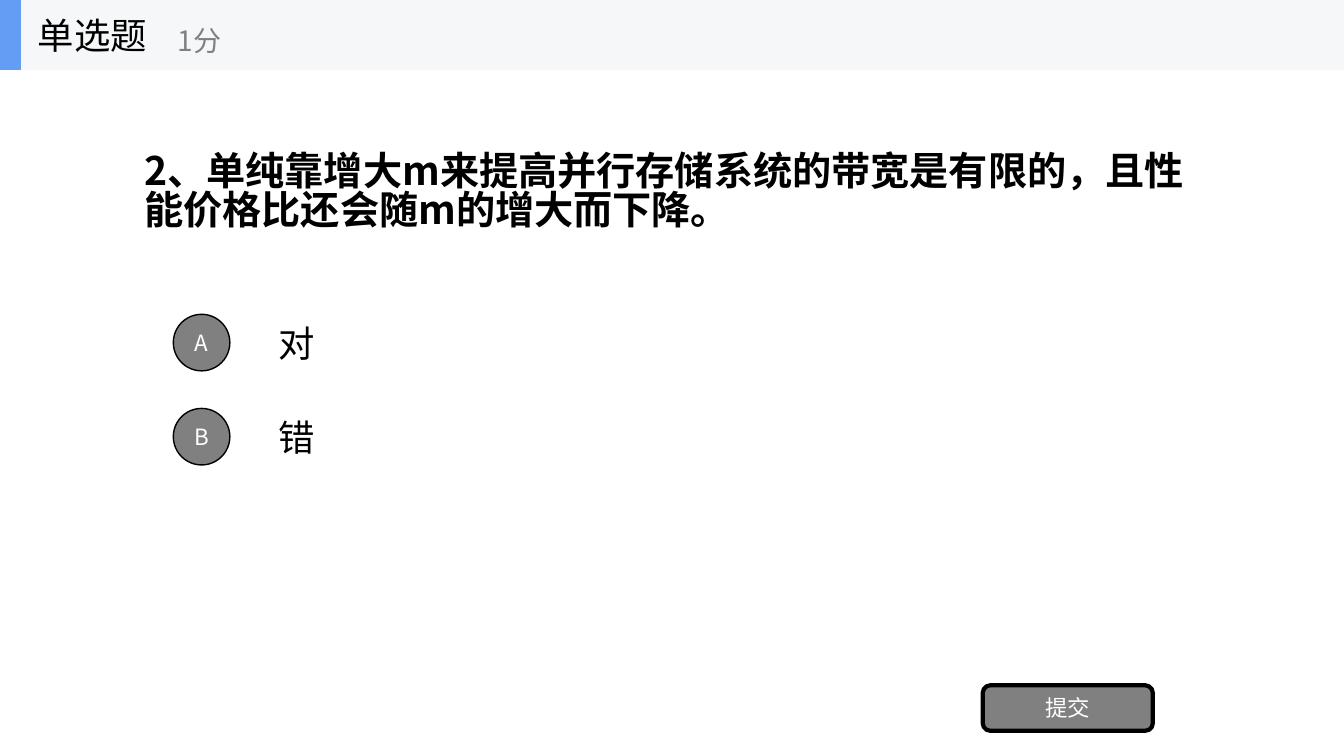
import pptx
import pptx.util
import pptx.dml.color
import pptx.enum.shapes
import pptx.enum.text
from lxml import etree

Pt = pptx.util.Pt
SHAPE = pptx.enum.shapes.MSO_SHAPE
ALIGN = pptx.enum.text.PP_ALIGN
MIDDLE = pptx.enum.text.MSO_ANCHOR.MIDDLE


def color(value):
    return pptx.dml.color.RGBColor.from_string(value)


class QuizSlide:
    font = "Noto Sans CJK SC"
    black = "000000"
    gray = "808080"
    white = "FFFFFF"

    def __init__(self, presentation):
        self.slide = presentation.slides.add_slide(presentation.slide_layouts[6])

    def set_text(self, shape, text, size, text_color, bold=False, align=ALIGN.LEFT):
        frame = shape.text_frame
        frame.word_wrap = True
        frame.vertical_anchor = MIDDLE
        frame.text = text
        paragraph = frame.paragraphs[0]
        paragraph.alignment = align
        for run in paragraph.runs:
            run.font.name = self.font
            run.font.size = Pt(size)
            run.font.bold = bold
            run.font.color.rgb = color(text_color)
            properties = run.font._element
            tag = properties.find("{*}latin").tag.replace("latin", "ea")
            east_asian = etree.SubElement(properties, tag)
            east_asian.set("typeface", self.font)

    def text(self, box, text, size, text_color=black, bold=False, parent=None):
        shapes = (parent or self.slide).shapes
        shape = shapes.add_textbox(*map(Pt, box))
        self.set_text(shape, text, size, text_color, bold)
        return shape

    def panel(self, kind, box, fill, line_width=0, parent=None):
        shapes = (parent or self.slide).shapes
        shape = shapes.add_shape(kind, *map(Pt, box))
        shape.shadow.inherit = False
        shape.fill.solid()
        shape.fill.fore_color.rgb = color(fill)
        if line_width:
            shape.line.color.rgb = color(self.black)
            shape.line.width = Pt(line_width)
        else:
            shape.line.fill.background()
        return shape

    def button(self, kind, box, label, line_width):
        shape = self.panel(kind, box, self.gray, line_width)
        frame = shape.text_frame
        frame.margin_left = frame.margin_right = 0
        frame.margin_top = frame.margin_bottom = 0
        self.set_text(shape, label, 16, self.white, align=ALIGN.CENTER)

    def header(self, title, score):
        group = self.slide.shapes.add_group_shape()
        self.panel(SHAPE.RECTANGLE, (0, 0, 960, 50), "F6F7F8", parent=group)
        self.panel(SHAPE.RECTANGLE, (0, 0, 15, 50), "639EF4", parent=group)
        self.text((20, 0, 150, 50), title, 26, parent=group)
        self.text((120, 9, 180, 40), score, 20, self.gray, parent=group)

    def question(self, text):
        shape = self.text((96, 50, 768, 168.75), text, 28, bold=True)
        shape.text_frame.margin_top = Pt(10.6)
        shape.text_frame.paragraphs[0].line_spacing = 0.83

    def option(self, index, letter, answer):
        top = 219.5 + index * 67.2
        self.text((192, top, 672, 50.4), answer, 26)
        self.button(SHAPE.OVAL, (123.8, top + 5, 40.4, 40.4), letter, 1)


def main():
    presentation = pptx.Presentation()
    presentation.slide_width = Pt(960)
    presentation.slide_height = Pt(540)
    quiz = QuizSlide(presentation)
    quiz.question("2、单纯靠增大m来提高并行存储系统的带宽是有限的，且性能价格比还会随m的增大而下降。")
    for index, (letter, answer) in enumerate([("A", "对"), ("B", "错")]):
        quiz.option(index, letter, answer)
    quiz.button(SHAPE.ROUNDED_RECTANGLE, (702, 489.5, 121.5, 32.5), "提交", 3)
    quiz.header("单选题", "1分")
    presentation.save("out.pptx")


if __name__ == "__main__":
    main()
